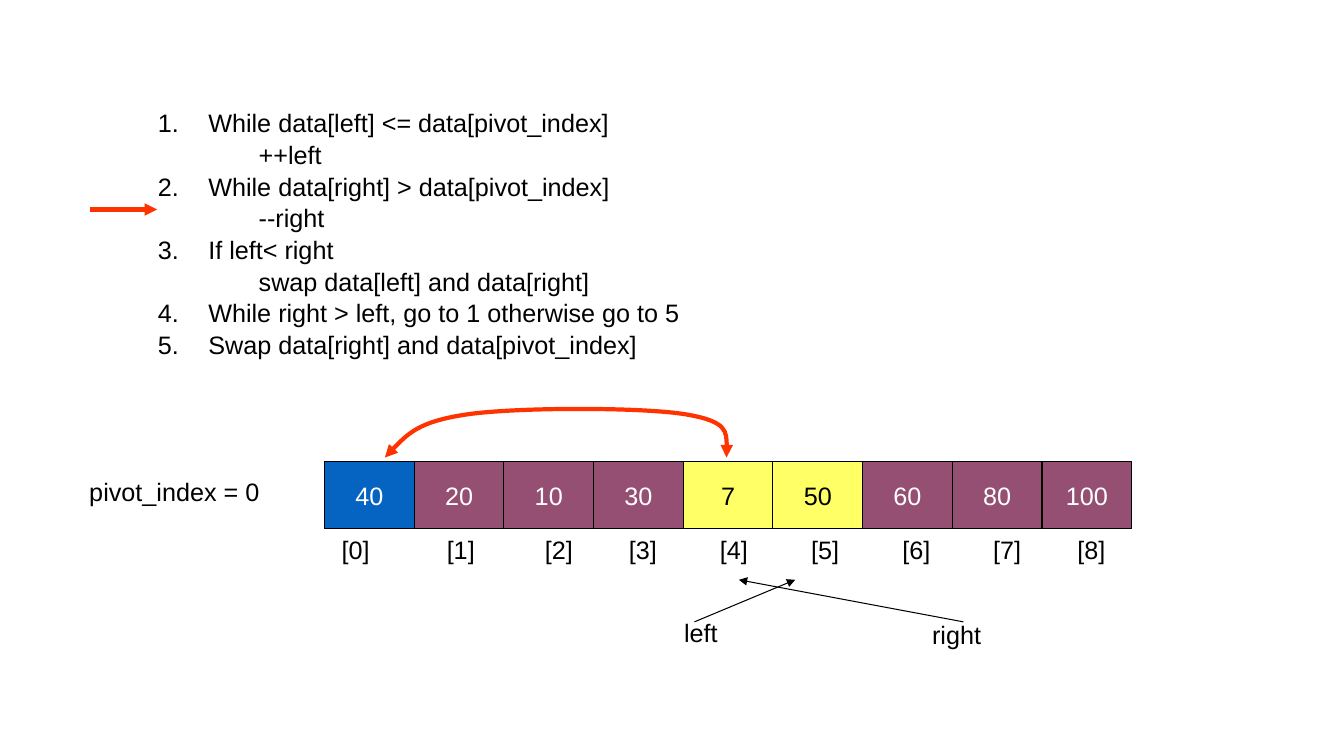
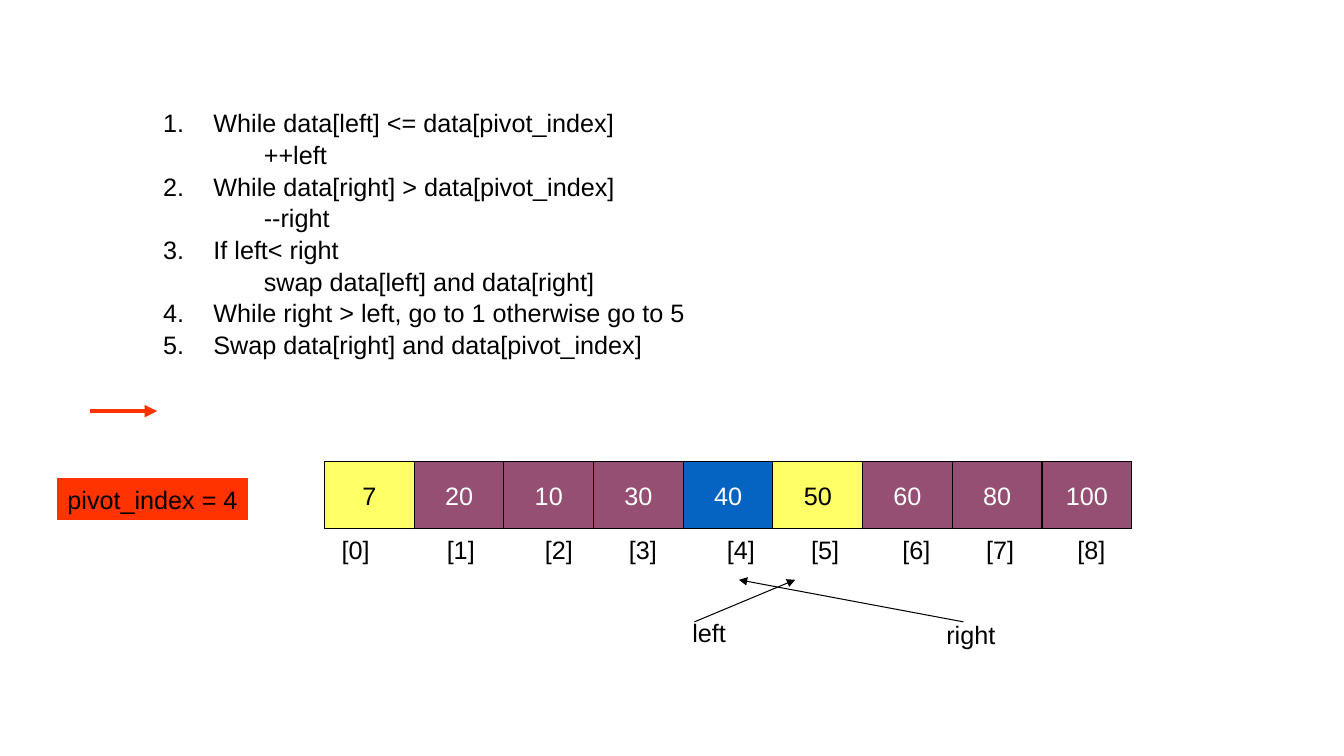
import pptx
import pptx.dml.color
import pptx.enum.shapes
import pptx.enum.text
import pptx.oxml.ns
import pptx.oxml.xmlchemy
import pptx.util

Cm = pptx.util.Cm
Pt = pptx.util.Pt
RGBColor = pptx.dml.color.RGBColor
OxmlElement = pptx.oxml.xmlchemy.OxmlElement
qn = pptx.oxml.ns.qn

BLACK = RGBColor(0x00, 0x00, 0x00)
WHITE = RGBColor(0xFF, 0xFF, 0xFF)
BLUE = RGBColor(0x05, 0x63, 0xC1)
PLUM = RGBColor(0x95, 0x4F, 0x72)
YELLOW = RGBColor(0xFF, 0xFF, 0x66)
RED = RGBColor(0xFF, 0x33, 0x00)

# Steps of the partition, each with its indented body, if any
STEPS = [
    ("While data[left] <= data[pivot_index]", "++left"),
    ("While data[right] > data[pivot_index]", "--right"),
    ("If left< right", "swap data[left] and data[right]"),
    ("While right > left, go to 1 otherwise go to 5", None),
    ("Swap data[right] and data[pivot_index]", None),
]

# Array row
ROW_X, ROW_Y = 8.18, 11.64
CELL_W, CELL_H = 2.26, 1.69


class Deck:
    font = "Arial"
    size = Pt(18)

    def __init__(self):
        self.prs = pptx.Presentation()
        self.prs.slide_width = Cm(33.87)
        self.prs.slide_height = Cm(19.05)
        self.s = None

    def new_slide(self):
        self.s = self.prs.slides.add_slide(self.prs.slide_layouts[6])

    def style(self, tf, color=BLACK):
        for p in tf.paragraphs:
            for r in p.runs:
                r.font.name = self.font
                r.font.size = self.size
                r.font.color.rgb = color

    def text(self, x, y, w, text, h=1.02, fill=None, wrap=True):
        sp = self.s.shapes.add_textbox(Cm(x), Cm(y), Cm(w), Cm(h))
        if fill is not None:
            sp.fill.solid()
            sp.fill.fore_color.rgb = fill
            sp.line.color.rgb = fill
            sp.line.width = Pt(0.75)
        tf = sp.text_frame
        tf.word_wrap = wrap
        tf.text = text
        self.style(tf)
        return tf

    def steps(self, x, y):
        lines = [(level, line) for step in STEPS
                 for level, line in enumerate(step) if line]
        tf = self.text(x, y, 14.5, "\n".join(line for _, line in lines), h=6.3)
        for p, (level, _) in zip(tf.paragraphs, lines):
            p.level = level
            p.space_after = Pt(1)
            pPr = p._p.get_or_add_pPr()
            pPr.set("marL", str(Cm(1.27 * (level + 1))))
            pPr.set("indent", str(0 if level else -Cm(1.27)))
            if level == 0:
                num = OxmlElement("a:buAutoNum")
                num.set("type", "arabicPeriod")
                pPr.append(num)

    def cell(self, i, value, fill):
        sp = self.s.shapes.add_shape(
            pptx.enum.shapes.MSO_SHAPE.RECTANGLE,
            Cm(ROW_X + i * CELL_W), Cm(ROW_Y), Cm(CELL_W), Cm(CELL_H))
        sp.shadow.inherit = False
        sp.fill.solid()
        sp.fill.fore_color.rgb = fill
        sp.line.color.rgb = BLACK
        sp.line.width = Pt(0.75)
        tf = sp.text_frame
        tf.word_wrap = False
        tf.vertical_anchor = pptx.enum.text.MSO_ANCHOR.MIDDLE
        tf.text = str(value)
        tf.paragraphs[0].alignment = pptx.enum.text.PP_ALIGN.CENTER
        self.style(tf, BLACK if fill == YELLOW else WHITE)

    def array(self, values, fills):
        for i, value in enumerate(values):
            self.cell(i, value, fills.get(i, PLUM))

    def indexes(self, stops):
        labels = "\t".join(f"[{i}]" for i in range(len(stops) + 1))
        tf = self.text(8.36, 13.34, 20.5, labels)
        tabs = OxmlElement("a:tabLst")
        for stop in stops:
            tab = OxmlElement("a:tab")
            tab.set("pos", str(Cm(stop)))
            tab.set("algn", "l")
            tabs.append(tab)
        tf.paragraphs[0]._p.get_or_add_pPr().append(tabs)

    def stroke(self, sp, color, width, ends):
        sp.line.color.rgb = color
        sp.line.width = Pt(width)
        for end in ends:
            head = OxmlElement(end)
            head.set("type", "triangle")
            sp._element.spPr.get_or_add_ln().append(head)

    def arrow(self, x1, y1, x2, y2, color=BLACK, width=0.75):
        cn = self.s.shapes.add_connector(
            pptx.enum.shapes.MSO_CONNECTOR.STRAIGHT,
            Cm(x1), Cm(y1), Cm(x2), Cm(y2))
        self.stroke(cn, color, width, ["a:tailEnd"])
        cn._element.spPr.append(OxmlElement("a:effectLst"))

    def curve(self, points):
        """Draw a Bézier curve: a start, then three points per segment."""
        start, *rest = [(Cm(x), Cm(y)) for x, y in points]
        fb = self.s.shapes.build_freeform(*start)
        fb.add_line_segments(rest, close=False)
        sp = fb.convert_to_shape()
        sp.shadow.inherit = False
        sp.fill.background()
        self.stroke(sp, RED, 3, ["a:headEnd", "a:tailEnd"])
        # Turn every three straight segments into one cubic segment
        segments = list(sp._element.iter(qn("a:lnTo")))
        for i in range(0, len(segments), 3):
            cubic = OxmlElement("a:cubicBezTo")
            segments[i].addprevious(cubic)
            for segment in segments[i:i + 3]:
                cubic.append(segment[0])
                segment.getparent().remove(segment)

    def pointers(self, left_x, right_x):
        self.text(left_x, 15.44, 5, "left")
        self.text(right_x, 15.49, 5, "right")
        self.arrow(24.28, 15.67, 18.62, 14.61)
        self.arrow(17.5, 15.67, 20.04, 14.61)

    def step_marker(self, y):
        self.arrow(2.26, y, 3.96, y, RED, 3)


def main():
    deck = Deck()

    # Slide 1: pivot about to be swapped
    deck.new_slide()
    deck.steps(3.73, 2.59)
    deck.array([40, 20, 10, 30, 7, 50, 60, 80, 100],
               {0: BLUE, 4: YELLOW, 5: YELLOW})
    deck.text(2, 11.89, 4.8, "pivot_index = 0", wrap=False)
    deck.indexes([2.65, 5.12, 7.24, 9.53, 11.83, 14.13, 16.42, 18.54])
    deck.pointers(16.99, 23.24)
    deck.step_marker(5.28)
    deck.curve([(9.7, 11.53), (10.13, 11.07), (10.54, 10.62), (11.79, 10.44),
                (13.06, 10.26), (16.18, 10.26), (17.27, 10.44),
                (18.36, 10.62), (18.34, 11.07), (18.31, 11.53)])

    # Slide 2: pivot in its final place
    deck.new_slide()
    deck.steps(3.86, 2.59)
    deck.array([7, 20, 10, 30, 40, 50, 60, 80, 100],
               {0: YELLOW, 4: BLUE, 5: YELLOW})
    deck.text(1.45, 12.07, 4.8, "pivot_index = 4", fill=RED, wrap=False)
    deck.indexes([2.65, 5.12, 7.24, 9.71, 11.83, 14.13, 16.24, 18.54])
    deck.pointers(17.2, 23.6)
    deck.step_marker(10.36)

    deck.prs.save("out.pptx")


if __name__ == "__main__":
    main()
